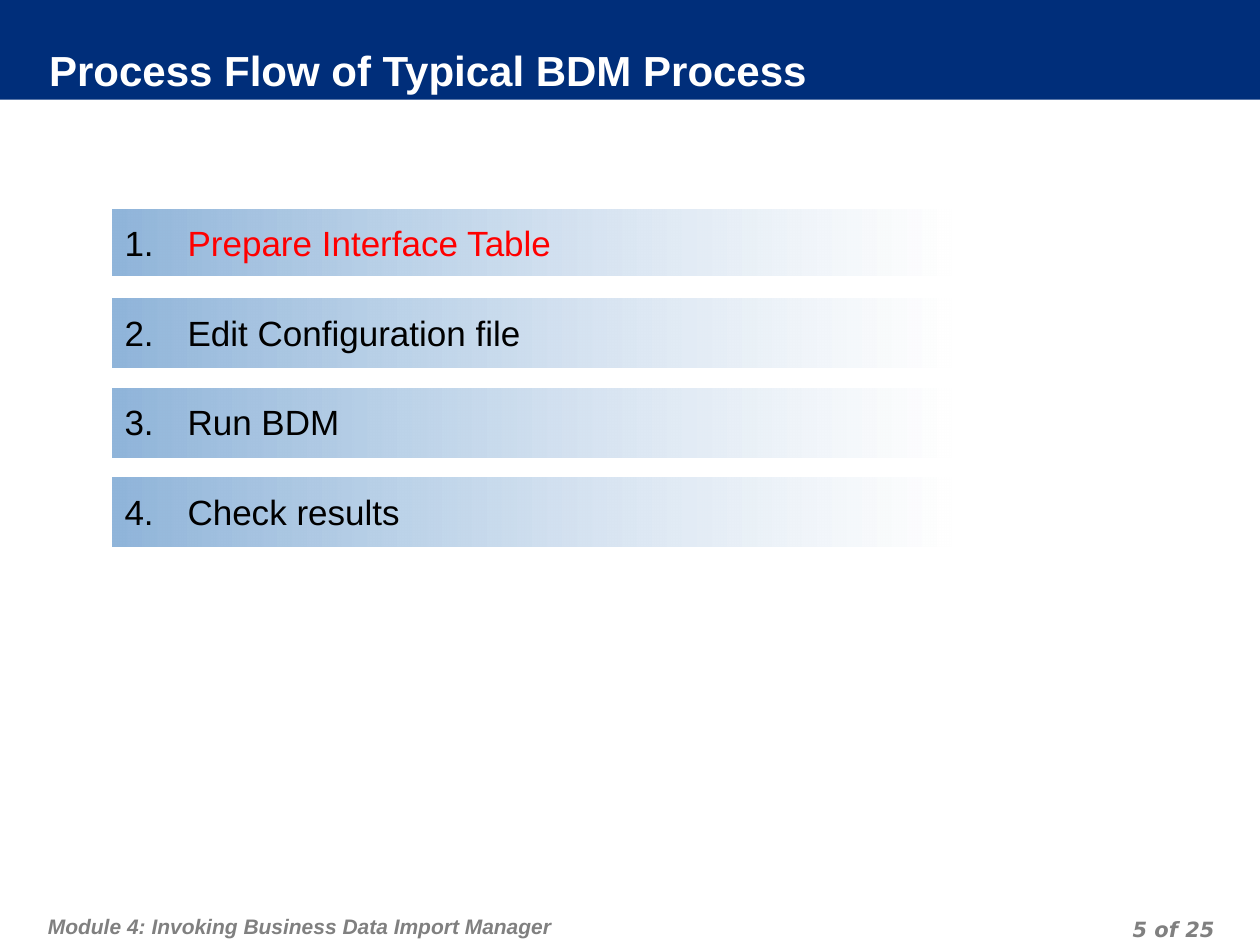
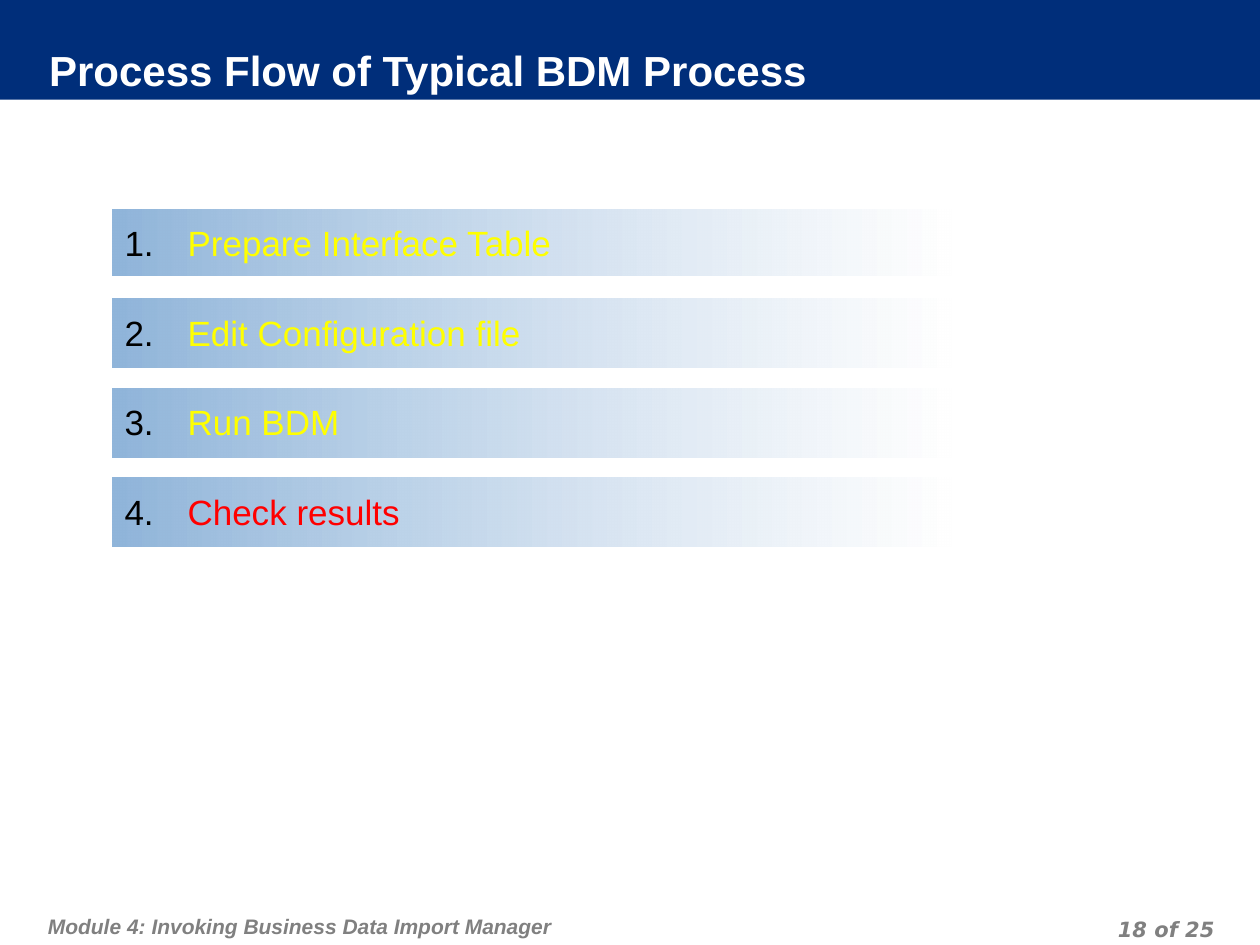
from dataclasses import dataclass

from lxml import etree
from pptx import Presentation
from pptx.dml.color import RGBColor
from pptx.enum.shapes import MSO_SHAPE
from pptx.enum.text import MSO_ANCHOR, MSO_AUTO_SIZE, PP_ALIGN
from pptx.oxml.ns import qn
from pptx.util import Inches, Pt

RECT, ROUND_RECT = MSO_SHAPE.RECTANGLE, MSO_SHAPE.ROUNDED_RECTANGLE
TOP, MIDDLE = MSO_ANCHOR.TOP, MSO_ANCHOR.MIDDLE
LEFT, RIGHT = PP_ALIGN.LEFT, PP_ALIGN.RIGHT
NO_FIT = MSO_AUTO_SIZE.NONE
TITLE_ONLY = 5

COLORS = {
    "navy": "002E7A", "white": "FFFFFF", "gray": "808080", "black": "000000",
    "bar": "90B5DA", "current": "FF0000", "done": "FFFF00",
}
FONT = "Arial"
NUMBER_FONT = "DejaVu Sans"
TITLE = "Process Flow of Typical BDM Process"
MODULE = "Module 4: Invoking Business Data Import Manager"
PAGE_COUNT = 25

# Step bars stand at an equal pitch
BAR_LEFT, BAR_TOP, BAR_WIDTH, BAR_PITCH = 0.89, 1.66, 6.66, 0.71


@dataclass
class Step:
    text: str
    height: float = 0.55


@dataclass
class FlowSlide:
    page: int
    current: int  # number of the highlighted step


@dataclass
class Style:
    size: float
    color: str
    font: str = FONT
    bold: bool = False
    italic: bool = False


STEPS = [Step("Prepare Interface Table", 0.53), Step("Edit Configuration file"),
         Step("Run BDM"), Step("Check results")]
SLIDES = [FlowSlide(5, 1), FlowSlide(18, 4)]


def rgb(name: str) -> RGBColor:
    return RGBColor.from_string(COLORS[name])


def place(sp, left: float, top: float, width: float, height: float) -> None:
    sp.left, sp.top = Inches(left), Inches(top)
    sp.width, sp.height = Inches(width), Inches(height)


def write(sp, text: str, style: Style, insets: tuple, anchor=TOP, align=LEFT):
    """Fill a shape with one formatted paragraph and return it."""
    tf = sp.text_frame
    tf.text = text
    tf.word_wrap, tf.auto_size, tf.vertical_anchor = True, NO_FIT, anchor
    (tf.margin_left, tf.margin_top,
     tf.margin_right, tf.margin_bottom) = map(Inches, insets)
    p = tf.paragraphs[0]
    p.alignment = align
    font = p.runs[0].font
    font.name, font.size = style.font, Pt(style.size)
    font.bold, font.italic = style.bold, style.italic
    font.color.rgb = rgb(style.color)
    return p


def number(p, start: int) -> None:
    """Give a paragraph a black automatic number with a hanging indent."""
    pPr = p._p.get_or_add_pPr()
    pPr.set("marL", str(Inches(0.5)))
    pPr.set("indent", str(Inches(-0.5)))
    clr = etree.SubElement(pPr, qn("a:buClr"))
    etree.SubElement(clr, qn("a:srgbClr"), val=COLORS["black"])
    etree.SubElement(pPr, qn("a:buFont"), typeface=FONT)
    etree.SubElement(pPr, qn("a:buAutoNum"), type="arabicPeriod", startAt=str(start))


def add_header(slide) -> None:
    title = slide.shapes.title
    place(title, 0.39, 0.38, 9.17, 0.4)
    title.fill.solid()
    title.fill.fore_color.rgb = rgb("navy")
    write(title, TITLE, Style(24, "white", bold=True), (0, 0, 0.05, 0.05), MIDDLE)

    band = slide.shapes.add_shape(RECT, 0, 0, Inches(10), Inches(0.79))
    band.shadow.inherit = False
    band.fill.solid()
    band.fill.fore_color.rgb = rgb("navy")
    band.line.fill.background()
    title.element.addprevious(band.element)  # band goes behind the title


def add_footer(slide, page: int) -> None:
    parts = [
        (MODULE, FONT, (0.33, 7.1, 6.18, 0.4), (0.05, 0.1, 0.05, 0.05), LEFT),
        (f"{page} of {PAGE_COUNT}", NUMBER_FONT, (7.36, 7.22, 2.33, 0.25),
         (0.05, 0, 0.05, 0), RIGHT),
    ]
    for text, font, box, insets, align in parts:
        sp = slide.shapes.add_textbox(*map(Inches, box))
        style = Style(12, "gray", font, bold=True, italic=True)
        p = write(sp, text, style, insets, align=align)
        p.line_spacing = Pt(18)


def add_bar(slide, n: int, step: Step, color: str) -> None:
    """Draw a numbered step on a bar that fades to the right."""
    top = BAR_TOP + (n - 1) * BAR_PITCH
    box = (BAR_LEFT, top, BAR_WIDTH, step.height)
    sp = slide.shapes.add_shape(ROUND_RECT, *map(Inches, box))
    sp.adjustments[0] = 0
    sp.shadow.inherit = False
    sp.line.fill.background()
    sp.fill.gradient()
    sp.fill.gradient_angle = 0
    first, last = sp.fill.gradient_stops
    first.color.rgb, last.color.rgb = rgb("bar"), rgb("white")
    first.position, last.position = 0, 1
    white = sp.element.spPr.findall(".//" + qn("a:srgbClr"))[-1]
    etree.SubElement(white, qn("a:alpha"), val="75000")
    p = write(sp, step.text, Style(20, color), (0.1, 0.1, 0.1, 0.05))
    number(p, n)


def step_color(n: int, current: int) -> str:
    if n == current:
        return "current"
    return "done" if n < current else "black"


def main() -> None:
    prs = Presentation()
    prs.slide_width, prs.slide_height = Inches(10), Inches(7.5)
    for flow in SLIDES:
        slide = prs.slides.add_slide(prs.slide_layouts[TITLE_ONLY])
        add_header(slide)
        add_footer(slide, flow.page)
        for n, step in enumerate(STEPS, 1):
            add_bar(slide, n, step, step_color(n, flow.current))
    prs.save("out.pptx")


if __name__ == "__main__":
    main()
